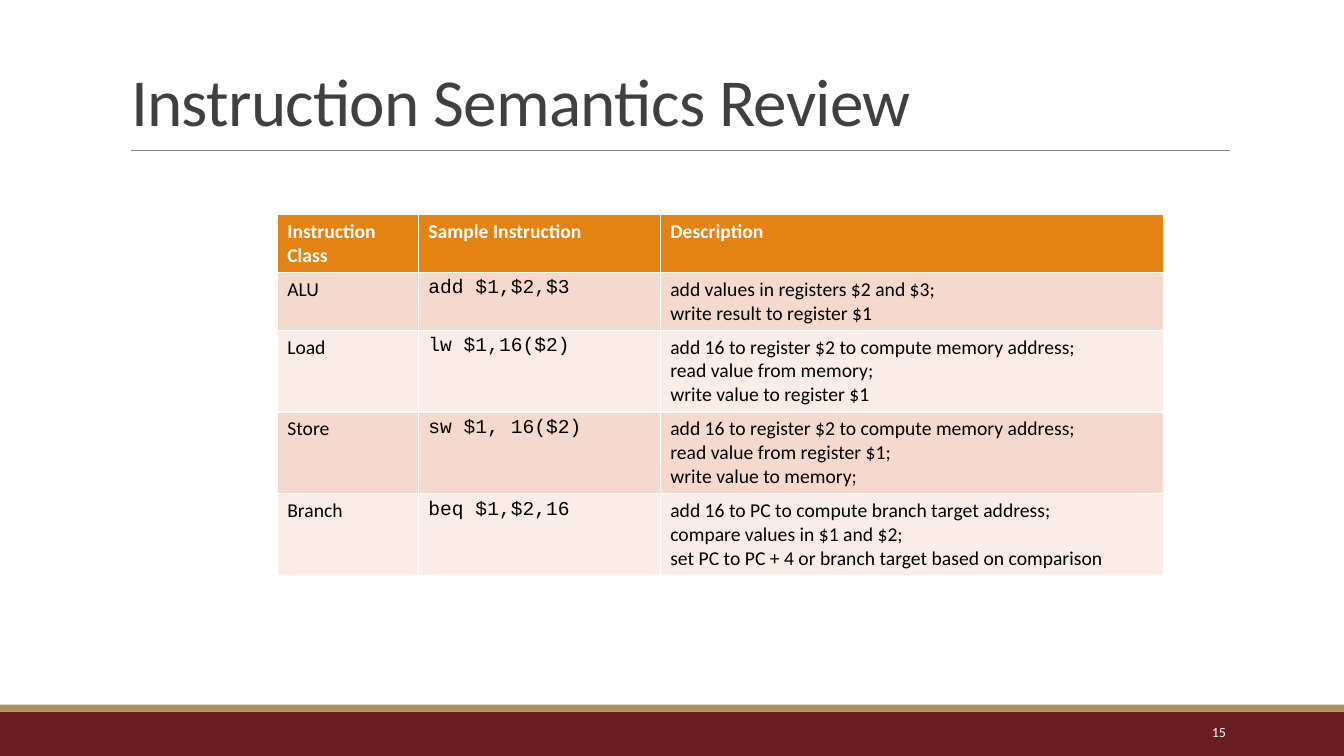
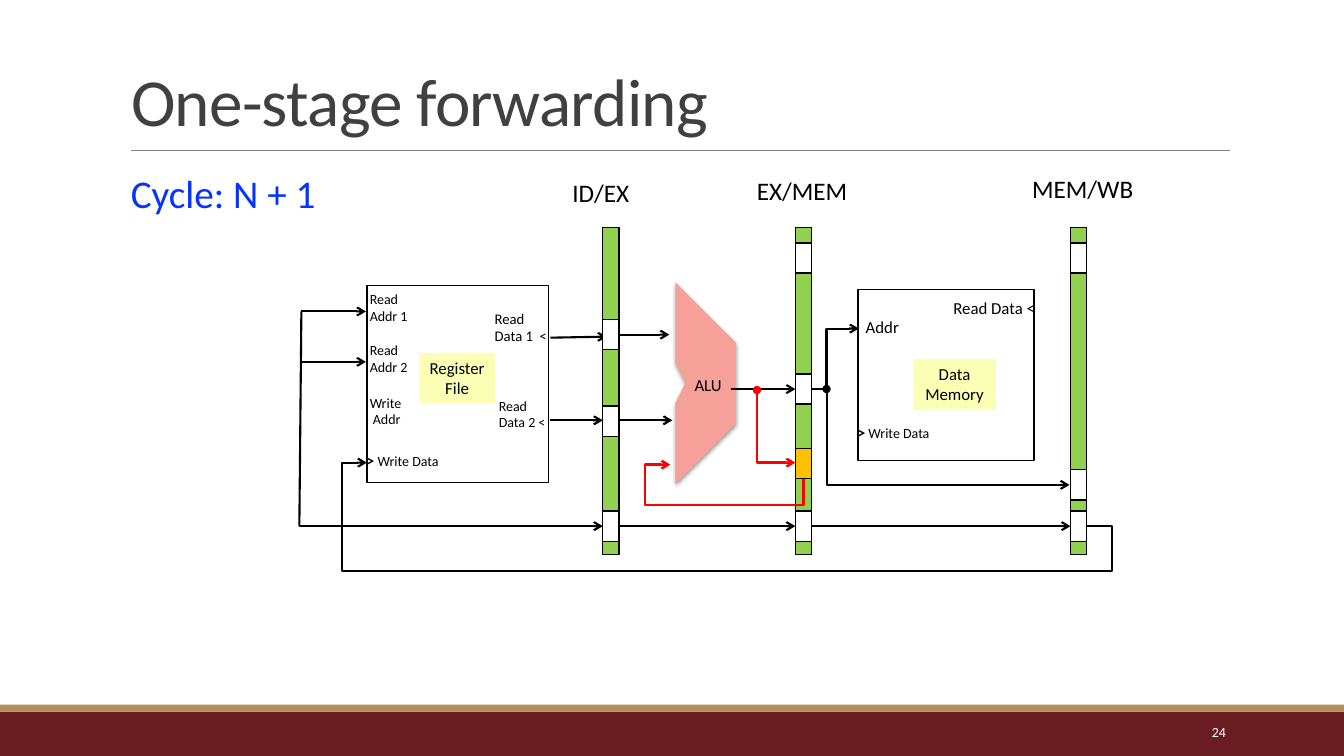
"""Build two processor pipeline slides on a grid of tenth-inch columns and rows."""
from lxml import etree
from pptx import Presentation
from pptx import util as u
from pptx.dml.color import RGBColor
from pptx.enum import shapes as kinds, text as t
from pptx.oxml.ns import qn

HUE = {"ink": "000000", "white": "FFFFFF", "title": "404040", "rule": "808080",
       "wine": "691D20", "gold": "B1915A", "head": "E48312", "odd": "F5D9CC",
       "even": "FAEDE7", "bar": "92D050", "alu": "F6A09A", "tag": "FAFFB5",
       "red": "FF0000", "amber": "FFC000", "blue": "0432FF"}
RGB = {name: RGBColor.from_string(code) for name, code in HUE.items()}
UNIT = u.Inches(0.1)
WIDE, HIGH = 133.33, 75


def box(slide, at, words="", size=10, ink="ink", fill=None, edge=None, **form):
    """Place a rectangle or a text box and format its text."""
    spot = [int(n * UNIT) for n in at]
    if fill or edge:
        item = slide.shapes.add_shape(kinds.MSO_SHAPE.RECTANGLE, *spot)
        item.shadow.inherit = False
        item.fill.background()
        item.line.fill.background()
        if fill:
            item.fill.solid()
            item.fill.fore_color.rgb = RGB[fill]
        if edge:
            item.line.color.rgb = RGB[edge]
            item.line.width = u.Pt(1)
    else:
        item = slide.shapes.add_textbox(*spot)
    frame = item.text_frame
    frame.text = words
    frame.word_wrap = False
    frame.vertical_anchor = t.MSO_ANCHOR.TOP
    for para in frame.paragraphs:
        para.alignment = t.PP_ALIGN.LEFT
        for key, val in form.items():
            setattr(para, key, val)
        for run in para.runs:
            run.font.name, run.font.size = "Calibri", u.Pt(size)
            run.font.color.rgb = RGB[ink]
    return item


def wire(slide, start, end, stops=None, head="none", tail="none", ink="ink", width=1.5):
    """Draw a straight line, or a bent one that turns at stops: x, y, x in turn."""
    kind = kinds.MSO_CONNECTOR.STRAIGHT if stops is None else kinds.MSO_CONNECTOR.ELBOW
    line = slide.shapes.add_connector(kind, *[int(n * UNIT) for n in start + end])
    line.line.color.rgb = RGB[ink]
    line.line.width = u.Pt(width)
    props = line.element.spPr
    if stops is not None:
        geom = props.find(qn("a:prstGeom"))
        geom.set("prst", f"bentConnector{len(stops) + 2}")
        guides = geom.find(qn("a:avLst"))
        for i, stop in enumerate(stops):
            share = (stop - start[i % 2]) / (end[i % 2] - start[i % 2])
            etree.SubElement(guides, qn("a:gd"), name=f"adj{i + 1}",
                             fmla=f"val {round(share * 100000)}")
    for tag, tip in (("a:headEnd", head), ("a:tailEnd", tail)):
        etree.SubElement(props.find(qn("a:ln")), qn(tag), type=tip)
    etree.SubElement(props, qn("a:effectLst"))
    return line


deck = Presentation()
deck.slide_width, deck.slide_height = int(WIDE * UNIT), HIGH * UNIT
plan = deck.slide_layouts.get_by_name("Title Only")
pages = []
for name, number in (("Instruction Semantics Review", "15"), ("One-stage forwarding", "24")):
    page = deck.slides.add_slide(plan)
    title = page.shapes.title
    for key, val in zip(("left", "top", "width", "height"), (12, 3.1, 110, 11.3)):
        setattr(title, key, int(val * UNIT))
    title.text_frame.text = name
    title.text_frame.vertical_anchor = t.MSO_ANCHOR.BOTTOM
    para = title.text_frame.paragraphs[0]
    para.alignment, para.line_spacing = t.PP_ALIGN.LEFT, 0.85
    run = para.runs[0]
    run.font.name, run.font.size = "Calibri", u.Pt(48)
    run.font.color.rgb = RGB["title"]
    run.font._element.set("spc", "-50")
    slot = box(page, (108.3, 70.6, 14.3, 4), number, ink="white",
               alignment=t.PP_ALIGN.RIGHT)
    slot.text_frame.word_wrap = True
    slot.text_frame.vertical_anchor = t.MSO_ANCHOR.MIDDLE
    pages.append(page)
review, stage = pages

for part in (box(review, (0, 70.6, WIDE, 4.4), fill="wine"),
             box(review, (0, 69.9, WIDE, 0.7), fill="gold"),
             wire(review, (13, 14.9), (122, 14.9), ink="rule", width=0.5)):
    plan.shapes.element.append(part.element)

rows = [
    ("Instruction Class", "Sample Instruction", "Description"),
    ("ALU", "add $1,$2,$3",
     "add values in registers $2 and $3;\nwrite result to register $1"),
    ("Load", "lw $1,16($2)",
     "add 16 to register $2 to compute memory address;\nread value from memory;\n"
     "write value to register $1"),
    ("Store", "sw $1, 16($2)",
     "add 16 to register $2 to compute memory address;\nread value from register $1;\n"
     "write value to memory;"),
    ("Branch", "beq $1,$2,16",
     "add 16 to PC to compute branch target address;\ncompare values in $1 and $2;\n"
     "set PC to PC + 4 or branch target based on comparison"),
]
spans = (14, 24, 49.9)
area = [int(n * UNIT) for n in (27.5, 21.3, sum(spans), 35.3)]
grid = review.shapes.add_table(len(rows), len(spans), *area).table
for col, span in zip(grid.columns, spans):
    col.width = int(span * UNIT)
for r, row in enumerate(rows):
    lines = max(2, row[2].count("\n") + 1)
    grid.rows[r].height = int((1 + 2.37 * lines) * UNIT)
    for c, words in enumerate(row):
        cell = grid.cell(r, c)
        cell.text = words
        cell.fill.solid()
        cell.fill.fore_color.rgb = RGB["head" if r == 0 else "odd" if r % 2 else "even"]
        form = {"name": "Courier New" if r and c == 1 else "Calibri",
                "size": u.Pt(14), "bold": r == 0}
        for para in cell.text_frame.paragraphs:
            for run in para.runs:
                for key, val in form.items():
                    setattr(run.font, key, val)
                run.font.color.rgb = RGB["ink" if r else "white"]

path = stage.shapes.build_freeform(66.7, 28.3, scale=UNIT)
path.add_line_segments([(66.7, 36), (68.5, 38.2), (66.7, 40.3), (66.7, 48),
                        (73.1, 42.5), (73.1, 33.8)], close=True)
alu = path.convert_to_shape()
alu.fill.solid()
alu.fill.fore_color.rgb = RGB["alu"]
alu.line.fill.background()
alu.shadow.inherit = False
shade = etree.SubElement(alu.element.spPr.find(qn("a:effectLst")), qn("a:outerShdw"),
                         blurRad=str(u.Pt(3.1)), dist=str(u.Pt(1.6)), dir="5400000")
tint = etree.SubElement(shade, qn("a:srgbClr"), val=HUE["ink"])
etree.SubElement(tint, qn("a:alpha"), val="38000")
label = box(stage, (68.7, 36.7, 4.6, 3.5), "ALU", 12, line_spacing=u.Pt(16))
for side, gap in (("left", 0.02), ("right", 0.02), ("top", 0.03), ("bottom", 0.03)):
    setattr(label.text_frame, f"margin_{side}", u.Inches(gap))

for at in ((36.4, 28.3, 18, 19.6), (85.1, 28.7, 17.5, 17)):
    box(stage, at, edge="ink")
for at, words in (((41.6, 35, 7.5, 5), "Register\nFile"),
                  ((90.6, 35.6, 8.2, 5.1), "Data\nMemory")):
    box(stage, at, words, 12, fill="tag", alignment=t.PP_ALIGN.CENTER)
for at, words, size in (
        ((35.7, 28.3, 6, 4.5), "Read\nAddr 1", 10),
        ((35.7, 33.4, 6, 4.5), "Read\nAddr 2", 10),
        ((35.7, 38.6, 5.4, 4.5), "Write\n Addr", 10),
        ((48.1, 30.2, 7.3, 4.5), "Read\nData 1  <", 10.5),
        ((48.5, 38.9, 6.9, 4.5), "Read\nData 2 <", 10),
        ((84.9, 30.9, 5.4, 3), "Addr", 12),
        ((93.6, 29, 10.2, 3), "Read Data <", 12),
        ((55.8, 17.1, 7.7, 4), "ID/EX", 18),
        ((74.1, 16.9, 11.1, 4), "EX/MEM", 18),
        ((101.4, 16.7, 12.2, 4), "MEM/WB", 18)):
    box(stage, at, words, size)
box(stage, (12, 16.3, 20.6, 5.7), "Cycle: N + 1", 28, "blue")
for at in ((35.4, 44.3, 9.6, 2.8), (84.1, 41.5, 9.6, 2.9)):
    para = box(stage, at, ">", 11).text_frame.paragraphs[0]
    para.runs[0].font.bold = True
    run = para.add_run()
    run.text = " Write Data"
    run.font.name, run.font.size = "Calibri", u.Pt(10)
    run.font.color.rgb = RGB["ink"]

bars = (59.8, 78.9, 106.2)
for left in bars:
    box(stage, (left, 22.6, 1.6, 32.4), fill="bar", edge="ink")

wire(stage, (29.9, 30.9), (29.7, 52.2))
for start, end in (((29.9, 30.9), (36.3, 30.9)), ((29.9, 35.9), (36.3, 35.9)),
                   ((54.6, 33.5), (60.2, 33.4)), ((54.6, 41.7), (59.8, 41.7)),
                   ((60.4, 33.2), (66.4, 33.2)), ((60.4, 41.7), (66.7, 41.7)),
                   ((72.5, 38.6), (78.9, 38.6)), ((29.7, 52.2), (59.8, 52.2)),
                   ((61.5, 52.2), (78.9, 52.2)), ((80.5, 52.2), (106.2, 52.2))):
    wire(stage, start, end, tail="arrow")
wire(stage, (80.5, 38.6), (106.1, 48.1), [82], tail="arrow")
wire(stage, (107.8, 52.2), (36.4, 45.9), [110.3, 56.7, 33.9], tail="arrow")
wire(stage, (85.2, 32.6), (82, 38.6), [], head="arrow", tail="oval")
wire(stage, (78.9, 45.9), (75.1, 38.7), [], "arrow", "oval", "red", 1.75)
wire(stage, (66.5, 46.1), (79.7, 47.4), [64, 50.1], "arrow", ink="red", width=1.75)

for left, tops in zip(bars, ((31.7, 40.3, 50.7), (24.1, 37.1, 50.7), (24.1, 46.6, 50.7))):
    for top in tops:
        box(stage, (left, top, 1.6, 3), fill="white", edge="ink")
box(stage, (bars[1], 44.5, 1.6, 3), fill="amber", edge="ink")

deck.save("out.pptx")
